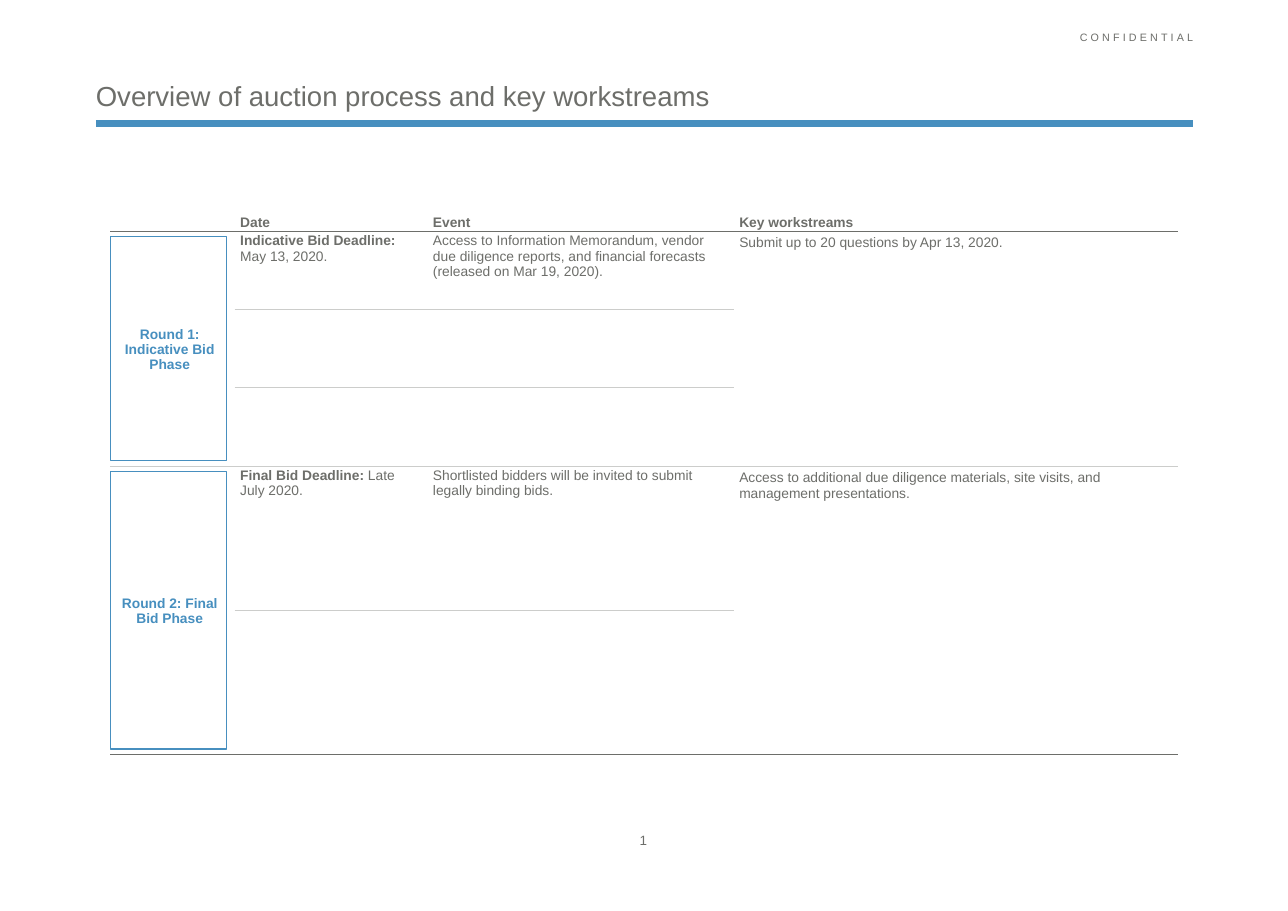
from lxml import etree
from pptx import Presentation
from pptx import util as u
from pptx.dml.color import RGBColor
from pptx.enum import shapes, text
from pptx.oxml import ns

PX = 9144  # 100 px to the inch
BLUE, GREY, PALE = "478FBF", "6D6E6A", "CCCDCB"
COLS = [113, 175, 278, 403]
ROWS = [19, 71, 71, 71, 131, 131]
HEADS = ["", "Date", "Event", "Key workstreams"]
# first row, last row, phase, (deadline, date), event, work
ROUNDS = [
    (1, 3, "Round 1: Indicative Bid Phase",
     ("Indicative Bid Deadline:", " May 13, 2020."),
     "Access to Information Memorandum, vendor due diligence reports, "
     "and financial forecasts (released on Mar 19, 2020).",
     "Submit up to 20 questions by Apr 13, 2020."),
    (4, 5, "Round 2: Final Bid Phase",
     ("Final Bid Deadline:", " Late July 2020."),
     "Shortlisted bidders will be invited to submit legally binding bids.",
     "Access to additional due diligence materials, site visits, "
     "and management presentations."),
]


def px(*vals):
    return [u.Emu(v * PX) for v in vals]


def rgb(code):
    return RGBColor.from_string(code)


def style(obj, **vals):
    for key, val in vals.items():
        setattr(obj, key, val)


def write(frame, runs, size=9, **para):
    """Fill the first paragraph with (words, bold, colour) runs."""
    par = frame.paragraphs[0]
    style(par, **para)
    for words, bold, hue in runs:
        run = par.add_run()
        run.text = words
        style(run.font, name="Arial", size=u.Pt(size), bold=bold)
        run.font.color.rgb = rgb(hue)
    return par


def label(slide, box, words, size, wrap, **para):
    frame = slide.shapes.add_textbox(*px(*box)).text_frame
    style(frame, margin_left=0, margin_right=0, margin_top=0,
          margin_bottom=0, word_wrap=wrap)
    return write(frame, [(words, False, GREY)], size, line_spacing=1.1, **para)


def header(slide, box):
    left, top, wide, high = box
    bar = slide.shapes.add_connector(
        shapes.MSO_CONNECTOR.STRAIGHT,
        *px(left, top + high + 10, left + wide, top + high + 10))
    bar.line.color.rgb = rgb(BLUE)
    bar.line.width = u.Pt(4.5)
    etree.SubElement(bar._element.spPr, ns.qn("a:effectLst"))

    note = label(slide, (left + wide - 785, top, 785, 24), "CONFIDENTIAL", 7,
                 True, alignment=text.PP_ALIGN.RIGHT)
    note.runs[0]._r.get_or_add_rPr().set("spc", "210")

    title = slide.shapes.title
    style(title, **dict(zip(("left", "top", "width", "height"), px(*box))))
    frame = title.text_frame
    style(frame, margin_left=0, margin_right=0, margin_top=0, margin_bottom=0,
          vertical_anchor=text.MSO_ANCHOR.BOTTOM, word_wrap=True,
          auto_size=text.MSO_AUTO_SIZE.NONE)
    write(frame, [("Overview of auction process and key workstreams", False, GREY)],
          18, alignment=text.PP_ALIGN.LEFT)


def rule(cell, hue):
    """Draw the bottom border of a cell."""
    line = etree.Element(ns.qn("a:lnB"), w="6350")
    fill = etree.SubElement(line, ns.qn("a:solidFill"))
    etree.SubElement(fill, ns.qn("a:srgbClr"), val=hue)
    cell._tc.get_or_add_tcPr().insert(0, line)


def blank(table):
    """Clear the table style, then set sizes, fills, margins and empty text."""
    style(table, first_row=False, horz_banding=False)
    table._tbl.tblPr.find(ns.qn("a:tableStyleId")).text = (
        "{2D5ABB26-0587-4C30-8999-92F81FD0307C}")
    for col, wide in zip(table.columns, px(*COLS)):
        col.width = wide
    for row, high in zip(table.rows, px(*ROWS)):
        row.height = high
    for cell in table.iter_cells():
        cell.fill.background()
        style(cell, **dict(zip(
            ("margin_left", "margin_top", "margin_right", "margin_bottom"),
            px(5, 2, 10, 0))))
        etree.SubElement(cell.text_frame.paragraphs[0]._p,
                         ns.qn("a:endParaRPr"), sz="900")


def schedule(slide, box):
    table = slide.shapes.add_table(len(ROWS), len(COLS), *px(*box)).table
    blank(table)
    after, gap = u.Pt(3), u.Pt(2.6)
    for col, head in enumerate(HEADS):
        cell = table.cell(0, col)
        style(cell, vertical_anchor=text.MSO_ANCHOR.BOTTOM, margin_bottom=px(1)[0])
        if head:
            write(cell.text_frame, [(head, True, GREY)], space_after=after)
        rule(cell, GREY)

    for first, last, phase, (due, date), event, work in ROUNDS:
        end = GREY if last == len(ROWS) - 1 else PALE
        for col in (0, 3):
            table.cell(first, col).merge(table.cell(last, col))
            for row in (first, last):
                rule(table.cell(row, col), end)
        for row in range(first, last + 1):
            for col in (1, 2):
                rule(table.cell(row, col), end if row == last else PALE)

        cells = [table.cell(first, col) for col in range(len(COLS))]
        cells[0].vertical_anchor = text.MSO_ANCHOR.MIDDLE
        write(cells[0].text_frame, [(phase, True, BLUE)], space_before=gap,
              space_after=after, alignment=text.PP_ALIGN.CENTER)
        write(cells[1].text_frame, [(due, True, GREY), (date, False, GREY)],
              space_before=gap, space_after=after)
        write(cells[2].text_frame, [(event, False, GREY)],
              space_before=gap, space_after=after)
        write(cells[3].text_frame, [(work, False, GREY)],
              space_before=gap, line_spacing=1.1)

        top = box[1] + sum(ROWS[:first]) + 5
        frame(slide, (box[0], top, 106, sum(ROWS[first:last + 1]) - 10))


def frame(slide, box):
    rect = slide.shapes.add_shape(shapes.MSO_SHAPE.RECTANGLE, *px(*box))
    rect.shadow.inherit = False
    rect.fill.background()
    rect.line.color.rgb = rgb(BLUE)
    rect.line.width = u.Pt(0.75)


def main():
    deck = Presentation()
    deck.slide_width, deck.slide_height = px(1169, 827)
    slide = deck.slides.add_slide(deck.slide_layouts[5])
    header(slide, (87, 27, 996, 75))
    schedule(slide, (100, 191, sum(COLS), sum(ROWS)))
    label(slide, (572, 754, 24, 19), "1", 8.8, False,
          alignment=text.PP_ALIGN.CENTER)
    deck.save("out.pptx")


if __name__ == "__main__":
    main()
